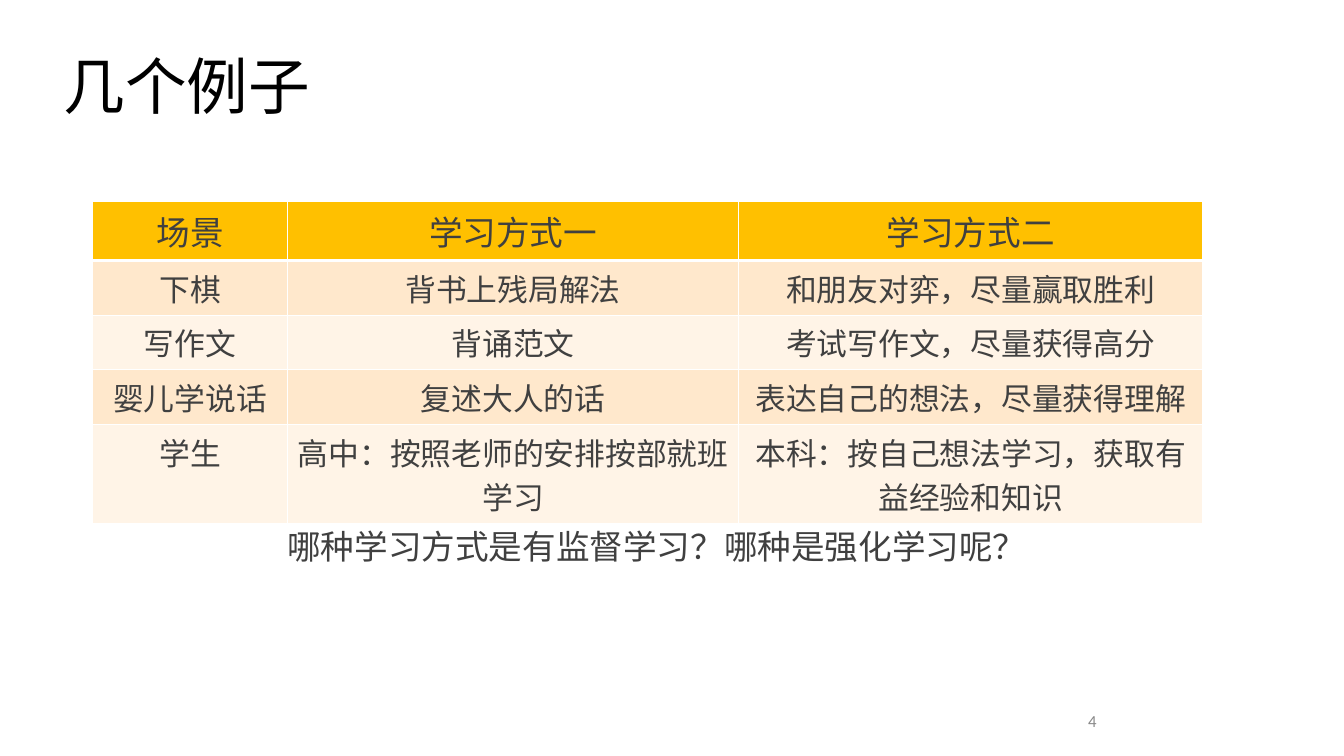
from pptx import Presentation
from pptx.dml.color import RGBColor
from pptx.enum.text import MSO_ANCHOR as ANCHOR, MSO_AUTO_SIZE as FIT, PP_ALIGN as ALIGN
from pptx.oxml.ns import qn
from pptx.util import Cm, Pt
from lxml.etree import SubElement

COLORS = {
    "header": "FFC000",
    "odd": "FFE8CC",
    "even": "FFF4E7",
    "border": "FFFFFF",
    "body": "404040",
    "title": "000000",
    "number": "888888",
}
ROWS = [
    ("场景", "学习方式一", "学习方式二"),
    ("下棋", "背书上残局解法", "和朋友对弈，尽量赢取胜利"),
    ("写作文", "背诵范文", "考试写作文，尽量获得高分"),
    ("婴儿学说话", "复述大人的话", "表达自己的想法，尽量获得理解"),
    ("学生", "高中：按照老师的安排按部就班学习", "本科：按自己想法学习，获取有益经验和知识"),
]
COL_WIDTHS = (4.9, 11.38, 11.68)
ROW_HEIGHTS = (1.47, 1.38, 1.38, 1.38, 2.5)


def write(tf, text, size, color, font="Arial", **fmt):
    p = tf.paragraphs[0]
    for name, value in fmt.items():
        setattr(p, name, value)
    r = p.add_run()
    r.text = text
    for name, value in {"name": font, "size": Pt(size), "bold": False}.items():
        setattr(r.font, name, value)
    r.font.color.rgb = RGBColor.from_string(COLORS[color])


def add_text(s, box, text, size, color, frame, **fmt):
    tf = s.shapes.add_textbox(*map(Cm, box)).text_frame
    for name, value in frame.items():
        setattr(tf, name, value)
    write(tf, text, size, color, **fmt)


def set_borders(cell, bottom):
    tcPr = cell._tc.get_or_add_tcPr()
    for side, width in {"L": 1, "R": 1, "T": 1, "B": bottom}.items():
        ln = SubElement(tcPr, qn(f"a:ln{side}"), w=str(Pt(width)))
        fill = SubElement(ln, qn("a:solidFill"))
        SubElement(fill, qn("a:srgbClr"), val=COLORS["border"])


def add_examples_table(s):
    size = (sum(COL_WIDTHS), sum(ROW_HEIGHTS))
    box = map(Cm, (2.34, 5.08, *size))
    table = s.shapes.add_table(len(ROWS), len(COL_WIDTHS), *box).table
    for col, width in zip(table.columns, COL_WIDTHS):
        col.width = Cm(width)
    for i, (row, height, texts) in enumerate(zip(table.rows, ROW_HEIGHTS, ROWS)):
        row.height = Cm(height)
        fill = "header" if i == 0 else "odd" if i % 2 else "even"
        for cell, text in zip(row.cells, texts):
            set_borders(cell, 1 if i else 3)
            cell.fill.solid()
            cell.fill.fore_color.rgb = RGBColor.from_string(COLORS[fill])
            write(cell.text_frame, text, 22 if i else 24, "body", alignment=ALIGN.CENTER)


def main():
    prs = Presentation()
    prs.slide_width, prs.slide_height = Cm(33.87), Cm(19.05)
    s = prs.slides.add_slide(prs.slide_layouts[6])
    grow = {"word_wrap": False, "auto_size": FIT.SHAPE_TO_FIT_TEXT}
    middle = {"vertical_anchor": ANCHOR.MIDDLE}
    margins = {f"margin_{side}": Cm(0.25) for side in ("left", "top", "right", "bottom")}

    add_examples_table(s)
    add_text(s, (6.99, 13.13, 19.33, 1.27), "哪种学习方式是有监督学习？哪种是强化学习呢？",
             24, "body", grow)
    add_text(s, (26.87, 17.65, 1.02, 1.02), "4", 12, "number", grow | middle | margins,
             font="Calibri", alignment=ALIGN.RIGHT)
    add_text(s, (1.35, 0.41, 26.54, 3.68), "几个例子", 44, "title",
             {"word_wrap": True} | middle | margins, font="Calibri", line_spacing=0.9)
    prs.save("out.pptx")


if __name__ == "__main__":
    main()
